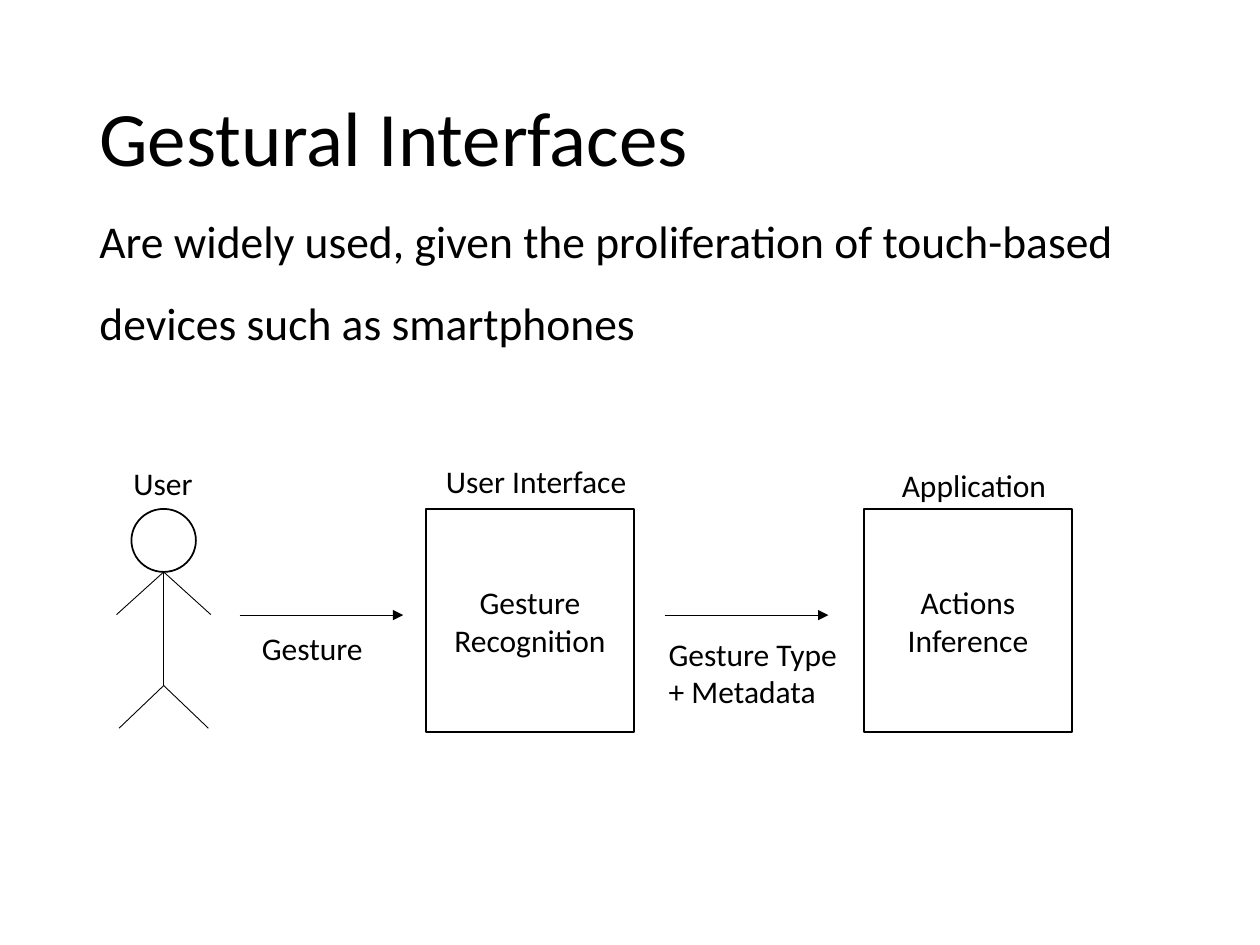
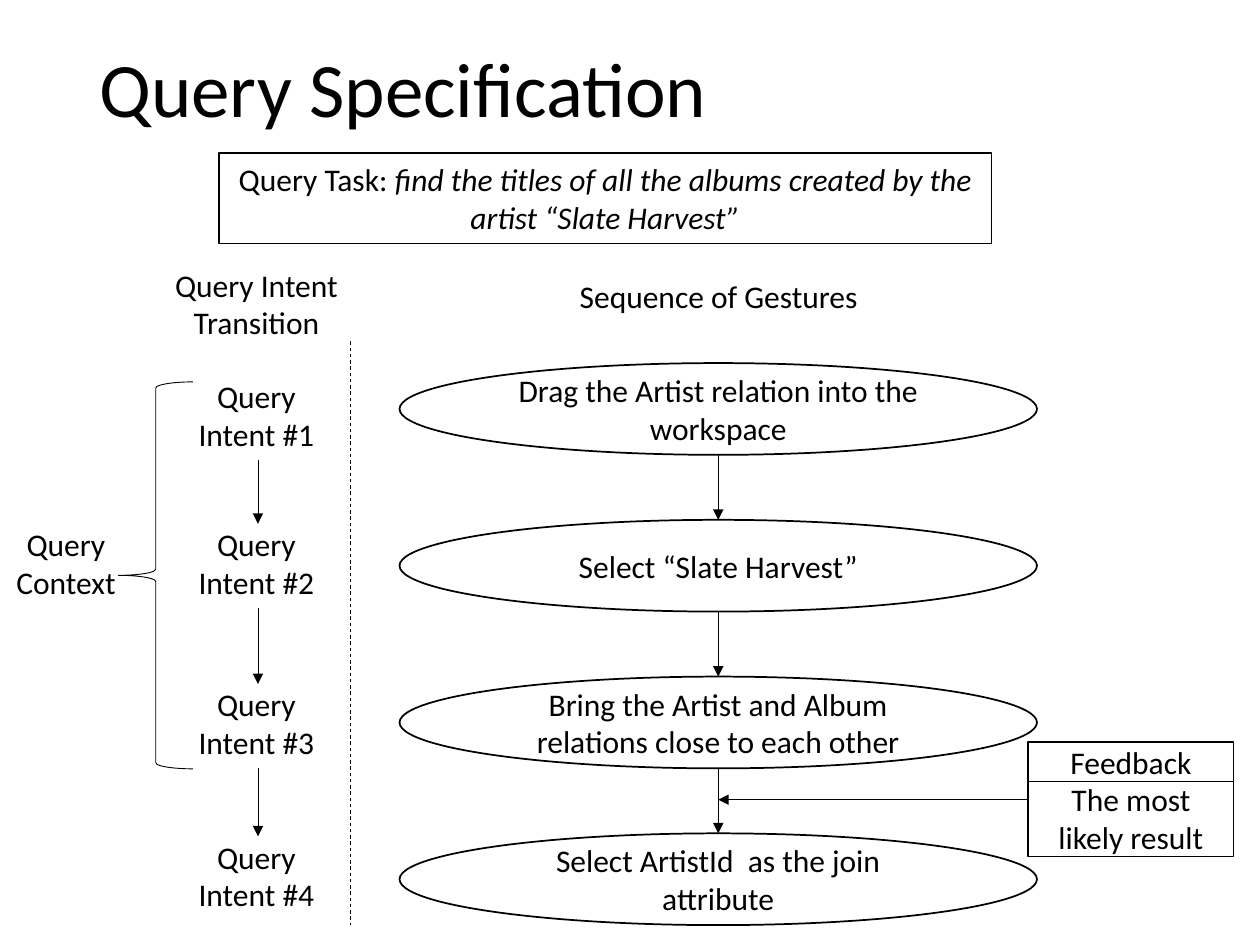
from itertools import pairwise
from lxml.etree import SubElement
from pptx import Presentation
from pptx.dml.color import RGBColor
from pptx.enum.dml import MSO_LINE as Dash
from pptx.enum.shapes import MSO_CONNECTOR as Link, MSO_SHAPE as Kind
from pptx.enum.text import MSO_ANCHOR as Anchor, MSO_AUTO_SIZE as Fit, PP_ALIGN as Align
from pptx.oxml.ns import qn
from pptx.util import Cm, Pt

# Shared look
FONT = "Calibri"
INK = "000000"
SMALL, LARGE, HEAD = 18, 26, 44
THIN, THICK = 0.5, 1
LEFT, WIDTH = 1.75, 21.9

BAND = "“Slate Harvest”"


def paint(code):
    return RGBColor.from_string(code)


def say(para, text, size=SMALL, italic=False):
    run = para.add_run()
    run.text = text
    font = run.font
    font.name, font.size, font.italic = FONT, Pt(size), italic
    font.color.rgb = paint(INK)


def write(frame, lines, align, size=SMALL):
    frame.word_wrap = True
    for i, text in enumerate(lines):
        para = frame.add_paragraph() if i else frame.paragraphs[0]
        para.alignment = align
        say(para, text, size)


def place(shape, x, y, w, h):
    shape.left, shape.top, shape.width, shape.height = Cm(x), Cm(y), Cm(w), Cm(h)


# Placeholders
def title(slide, text, top):
    shape = slide.shapes.title
    place(shape, LEFT, top, WIDTH, 3.68)
    frame = shape.text_frame
    frame.auto_size = Fit.NONE
    frame.vertical_anchor = Anchor.MIDDLE
    write(frame, [text], Align.LEFT, HEAD)
    frame.paragraphs[0].line_spacing = 0.9


def body(slide, text):
    shape = slide.placeholders[1]
    place(shape, LEFT, 3.62, WIDTH, 4)
    frame = shape.text_frame
    frame.auto_size = Fit.NONE
    write(frame, [text], Align.LEFT, LARGE)
    para = frame.paragraphs[0]
    para.line_spacing, para.space_before = 1.5, Pt(10)
    props = para._p.get_or_add_pPr()
    props.set("marL", "0")
    props.set("indent", "0")
    SubElement(props, qn("a:buNone"))


# Diagram parts
def label(slide, lines, x, y, w, h, align=Align.CENTER):
    shape = slide.shapes.add_textbox(Cm(x), Cm(y), Cm(w), Cm(h))
    write(shape.text_frame, lines, align)


def box(slide, kind, x, y, w, h, lines=(), width=THICK):
    shape = slide.shapes.add_shape(kind, Cm(x), Cm(y), Cm(w), Cm(h))
    shape.shadow.inherit = False
    shape.fill.background()
    shape.line.color.rgb = paint(INK)
    shape.line.width = Pt(width)
    frame = shape.text_frame
    frame.vertical_anchor = Anchor.MIDDLE
    write(frame, lines, Align.CENTER)
    return frame


def line(slide, x1, y1, x2, y2, arrow=False, dash=False):
    link = slide.shapes.add_connector(Link.STRAIGHT, Cm(x1), Cm(y1), Cm(x2), Cm(y2))
    link.line.color.rgb = paint(INK)
    link.line.width = Pt(THIN)
    if dash:
        link.line.dash_style = Dash.DASH
    if arrow:
        SubElement(link.line._get_or_add_ln(), qn("a:tailEnd"), type="triangle")
    SubElement(link._element.spPr, qn("a:effectLst"))


def person(slide, mid, top):
    neck, hip = top + 1.27, top + 3.56
    box(slide, Kind.OVAL, mid - 0.65, top, 1.3, 1.27)
    line(slide, mid, neck, mid, hip)
    for joint, reach in ((neck, 0.95), (hip, 0.9)):
        for side in (-reach, reach):
            line(slide, mid, joint, mid + side, joint + 0.86)


# Slides
def gestures(deck):
    slide = deck.slides.add_slide(deck.slide_layouts[1])
    title(slide, "Gestural Interfaces", 1.02)
    body(slide, "Are widely used, given the proliferation of touch-based "
                "devices such as smartphones")
    top = 10.26
    person(slide, 3.3, top)
    for x, text in ((8.59, "Gesture Recognition"), (17.42, "Actions Inference")):
        box(slide, Kind.RECTANGLE, x, top, 4.19, 4.5, [text])
    for x in (4.83, 13.4):
        line(slide, x, 12.4, x + 3.3, 12.4, arrow=True)
    for text, x, y, w, h in (
        ("Gesture", 5.03, 12.55, 3.07, 1.02),
        ("Gesture Type + Metadata", 13.23, 12.67, 4.04, 1.8),
        ("User", 2.44, 9.22, 5.74, 1.02),
        ("User Interface", 8.74, 9.19, 5.74, 1.02),
        ("Application", 17.93, 9.27, 5.74, 1.02),
    ):
        label(slide, [text], x, y, w, h, Align.LEFT)


def query(deck):
    slide = deck.slides.add_slide(deck.slide_layouts[5])
    title(slide, "Query Specification", 0.03)
    task = box(slide, Kind.RECTANGLE, 4.42, 3.08, 15.57, 1.83, ["Query Task: "])
    say(task.paragraphs[0], "find the titles of all the albums created by the "
                            f"artist {BAND}", italic=True)

    # Column heads and divider
    label(slide, ["Query Intent Transition"], 2.07, 5.23, 6.2, 1.8)
    label(slide, ["Sequence of Gestures"], 11.3, 5.46, 6.38, 1.02)
    line(slide, 7.06, 6.88, 7.06, 18.64, dash=True)

    # Gesture steps
    mid, wide, high = 14.48, 12.85, 1.85
    steps = ("Drag the Artist relation into the workspace",
             f"Select {BAND}",
             "Bring the Artist and Album relations close to each other",
             "Select ArtistId  as the join attribute")
    tops = [7.32 + 3.16 * i for i in range(len(steps))]
    for y, text in zip(tops, steps):
        box(slide, Kind.OVAL, mid - wide / 2, y, wide, high, [text])
    for y, below in pairwise(tops):
        line(slide, mid, y + high, mid, below, arrow=True)

    # Feedback
    edge = 20.73
    note = box(slide, Kind.RECTANGLE, edge, 14.96, 4.14, 2.31,
               ["Feedback", "The most likely result"])
    note.margin_left = note.margin_right = Cm(0.4)
    line(slide, edge, 15.75, edge + 4.14, 15.75)
    line(slide, edge, 16.12, mid, 16.12, arrow=True)

    # Query intents and their context
    tops = (7.47, 10.46, 13.69, 16.76)
    for i, y in enumerate(tops, 1):
        label(slide, ["Query", f"Intent #{i}"], 3.33, y, 3.68, 1.8)
    for y, below in pairwise(tops):
        line(slide, 5.2, y + 1.8, 5.2, below + 0.1, arrow=True)
    box(slide, Kind.LEFT_BRACE, 2.39, 7.7, 1.5, 7.8, width=THIN)
    label(slide, ["Query", "Context"], 0, 10.46, 2.66, 1.8)


def main():
    deck = Presentation()
    deck.slide_width, deck.slide_height = Cm(25.4), Cm(19.05)
    gestures(deck)
    query(deck)
    deck.save("out.pptx")


if __name__ == "__main__":
    main()
